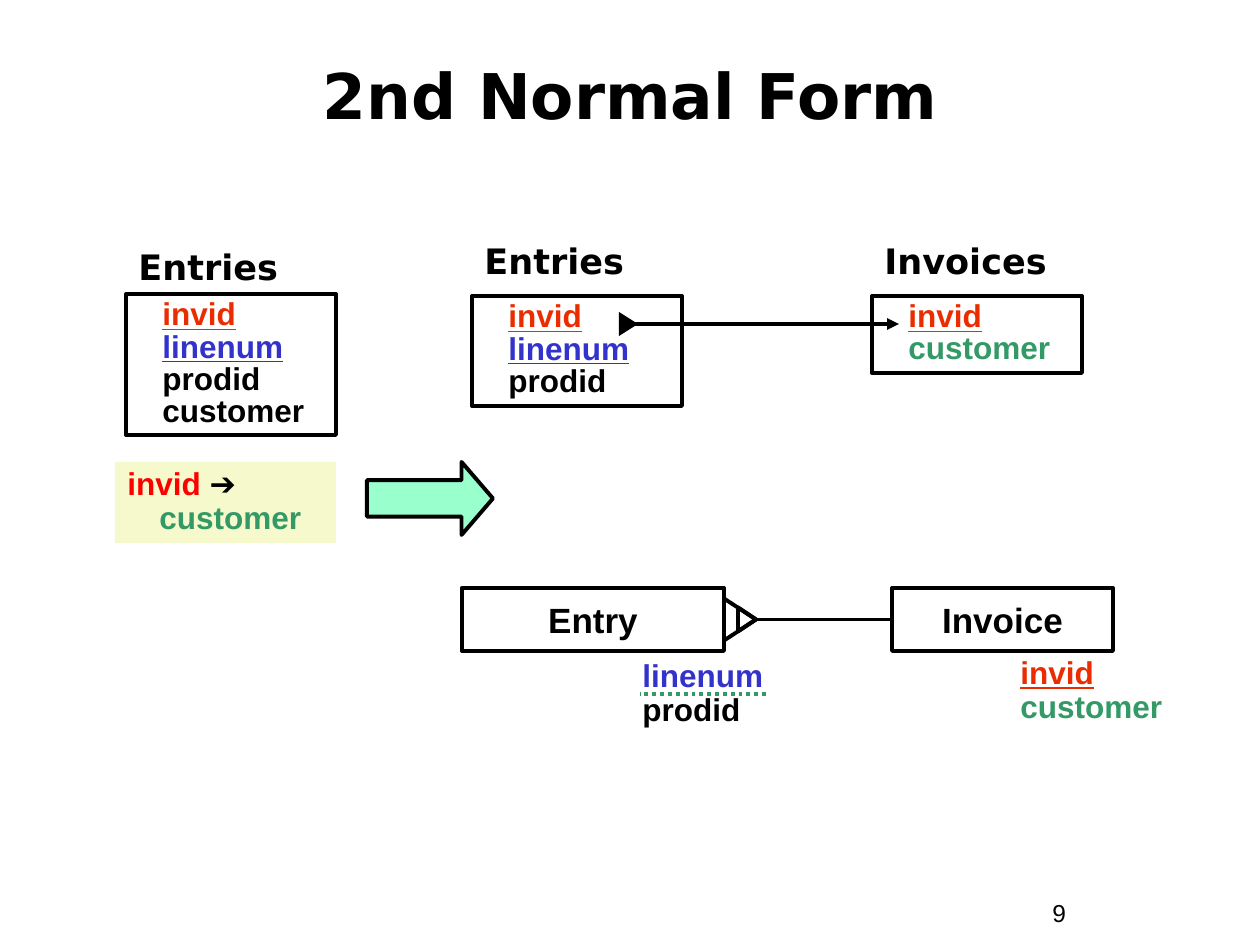
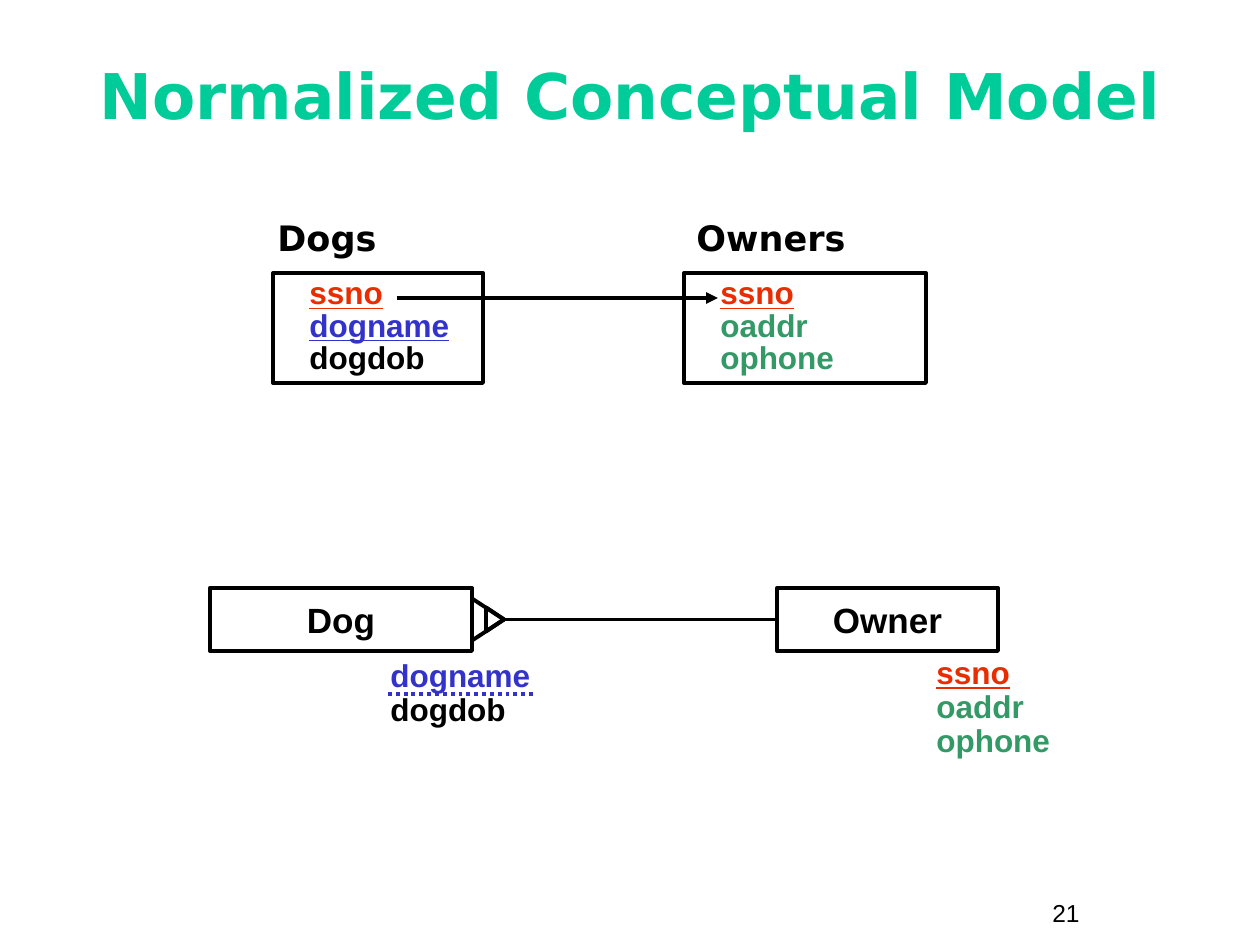
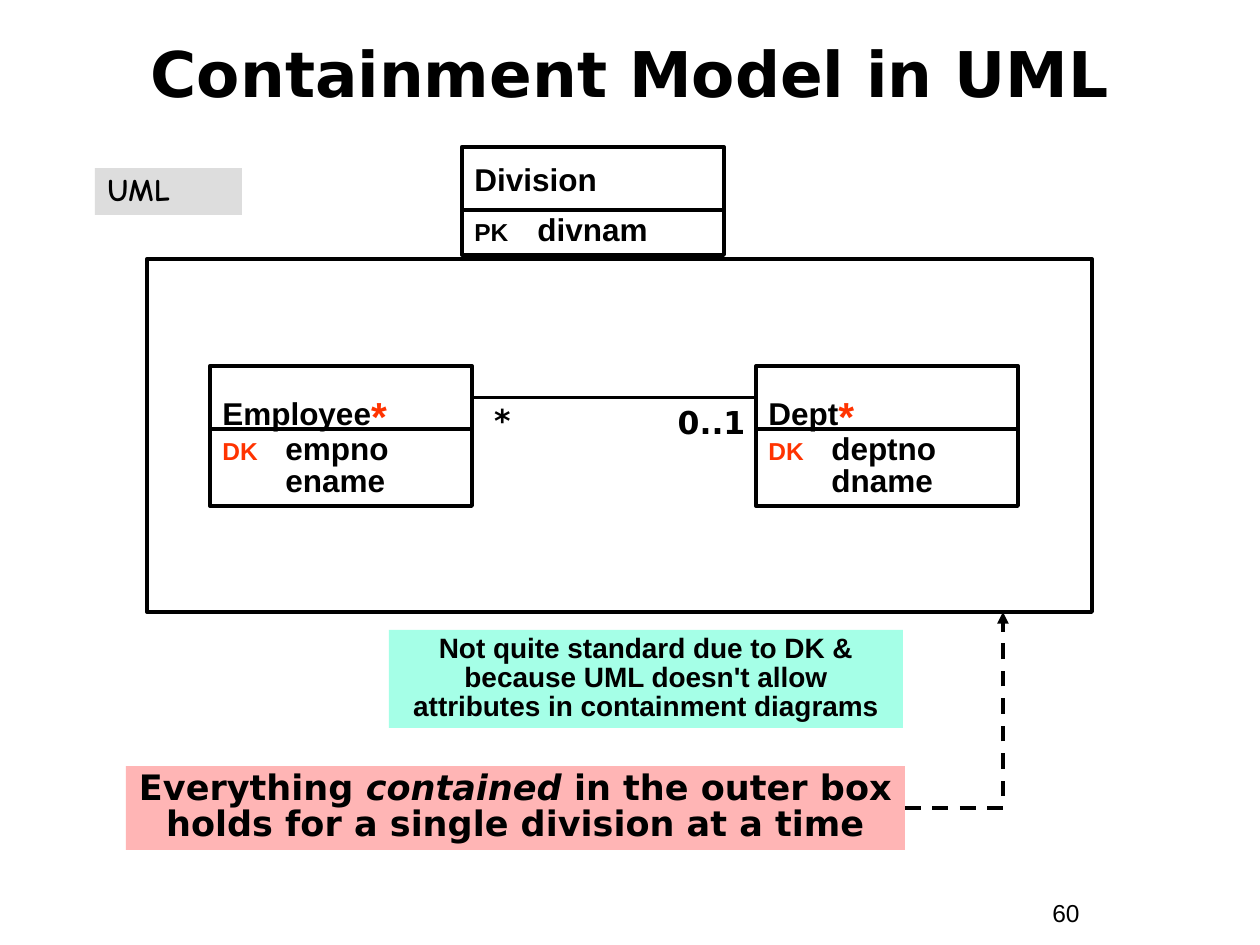
import lxml.etree
import pptx
import pptx.dml.color
import pptx.enum.dml
import pptx.enum.shapes
import pptx.enum.text
import pptx.oxml.ns
import pptx.util

SCALE = 914400 / 126
COLOURS = {
    "ink": "000000", "key": "EA2D00", "partial": "3333CC", "moved": "339966",
    "title green": "00CC99", "rule red": "FF0000", "marker": "FF3300",
    "rule": "F6F9CB", "arrow": "99FFCC", "remark": "A5FFE7",
    "note": "FFB5B5", "tag": "DDDDDD",
}
HEADING_FONT = "DejaVu Sans"
LINE_WIDTH = pptx.util.Pt(2.25)
SHAPES = pptx.enum.shapes.MSO_SHAPE
DASHES = pptx.enum.dml.MSO_LINE
ALIGN = pptx.enum.text.PP_ALIGN
ANCHOR = pptx.enum.text.MSO_ANCHOR


def px(length):
    return pptx.util.Emu(round(length * SCALE))


def rgb(name):
    return pptx.dml.color.RGBColor.from_string(COLOURS[name])


def add_xml(parent, tag, **attributes):
    return lxml.etree.SubElement(parent, pptx.oxml.ns.qn(tag), attributes)


def add_span(para, text, colour="ink", size=18, font="Arial", bold=True,
             underline=False, italic=False, baseline=None):
    span = para.add_run()
    span.text = text
    style = span.font
    style.name, style.size, style.bold = font, pptx.util.Pt(size), bold
    style.color.rgb = rgb(colour)
    if underline:
        style.underline = True
    if italic:
        style.italic = True
    if baseline:
        span.font._element.set("baseline", baseline)


def write(box, paras, align=ALIGN.LEFT, spacing=1.0, before=0, margin=0,
          indent=0, tab=None, anchor=ANCHOR.TOP, **style):
    """Fill a box; each paragraph is a list of (text, span style), None breaks the line."""
    frame = box.text_frame
    frame.word_wrap = True
    frame.auto_size = pptx.enum.text.MSO_AUTO_SIZE.NONE
    frame.vertical_anchor = anchor
    for index, spans in enumerate(paras):
        para = frame.add_paragraph() if index else frame.paragraphs[0]
        para.alignment, para.line_spacing = align, spacing
        para.space_before = pptx.util.Pt(before)
        properties = para._p.get_or_add_pPr()
        properties.set("marL", str(px(margin)))
        properties.set("indent", str(px(indent)))
        if tab:
            stops = add_xml(properties, "a:tabLst")
            add_xml(stops, "a:tab", pos=str(px(tab)), algn="l")
        for span in spans:
            if span is None:
                para.add_line_break()
            else:
                add_span(para, span[0], **{**style, **span[1]})


def add_shape(slide, kind, box, fill=None, outlined=True):
    shape = slide.shapes.add_shape(kind, *map(px, box))
    shape.shadow.inherit = False
    if fill:
        shape.fill.solid()
        shape.fill.fore_color.rgb = rgb(fill)
    else:
        shape.fill.background()
    if outlined:
        shape.line.color.rgb = rgb("ink")
        shape.line.width = LINE_WIDTH
    else:
        shape.line.fill.background()
    return shape


def add_label(slide, box, text, **style):
    label = slide.shapes.add_textbox(*map(px, box))
    write(label, [[(text, {})]], **style)


def add_panel(slide, box, fill, spans, **style):
    panel = add_shape(slide, SHAPES.RECTANGLE, box, fill, outlined=False)
    write(panel, [spans], **style)


def add_line(slide, start, end, colour="ink", dash=None, arrow=False, elbow=False):
    kinds = pptx.enum.shapes.MSO_CONNECTOR
    line = slide.shapes.add_connector(
        kinds.ELBOW if elbow else kinds.STRAIGHT, *map(px, (*start, *end)))
    line.line.color.rgb = rgb(colour)
    line.line.width = LINE_WIDTH
    if dash:
        line.line.dash_style = dash
    properties = line._element.spPr
    if arrow:
        add_xml(properties.find(pptx.oxml.ns.qn("a:ln")), "a:tailEnd", type="triangle")
    if elbow:
        geometry = properties.find(pptx.oxml.ns.qn("a:prstGeom"))
        geometry.set("prst", "bentConnector2")
    add_xml(properties, "a:effectLst")
    return line


def add_pointer(slide, tip, middle, base, length, **look):
    """Triangle that points right."""
    box = (tip - (length + base) / 2, middle - length / 2, base, length)
    add_shape(slide, SHAPES.ISOSCELES_TRIANGLE, box, **look).rotation = 90


def attributes(names, underline_partial=True):
    """One paragraph for each (name, role); keys are underlined."""
    return [[(name, {"colour": role,
                     "underline": role == "key" or role == "partial" and underline_partial})]
            for name, role in names]


def add_schema(slide, name, label_at, box, columns):
    add_label(slide, (*label_at, 210, 55), name, size=20, font=HEADING_FONT)
    table = add_shape(slide, SHAPES.RECTANGLE, box)
    write(table, attributes(columns), spacing=0.85, margin=24)


def add_entity(slide, box, name):
    entity = add_shape(slide, SHAPES.RECTANGLE, box)
    write(entity, [[(name, {})]], align=ALIGN.CENTER, before=12.5,
          anchor=ANCHOR.MIDDLE, size=20)
    return entity


def add_relationship(slide, many, one, dots):
    """Many-to-one diagram; many is (left, name, attributes), one also ends with their left."""
    top, height, many_width = 588, 63, 262
    middle = top + height / 2
    many_left, many_name, many_attributes = many
    one_left, one_name, one_attributes, list_left = one
    add_entity(slide, (many_left, top, many_width, height), many_name)
    target = add_entity(slide, (one_left, top, 221, height), one_name)
    tip = many_left + many_width + 32
    for base, length in ((42, 32), (24, 18)):
        add_pointer(slide, tip, middle, base, length)
    add_line(slide, (tip, middle), (one_left, middle)).end_connect(target, 1)

    for left, below, names in ((many_left + 168, 66, many_attributes),
                               (list_left, 63, one_attributes)):
        box = slide.shapes.add_textbox(*map(px, (left, top + below, 210, 34 * len(names) + 13)))
        write(box, attributes(names, underline_partial=False), spacing=0.9)
    colour, length = dots
    start = many_left + 178
    add_line(slide, (start + length, top + 106), (start, top + 106), colour, DASHES.ROUND_DOT)


def add_class(slide, left, top, height, name, marker, marker_colour, fields, star=False):
    """UML class: a name compartment over a compartment of fields."""
    width, head_height = 262, 63
    head = add_shape(slide, SHAPES.RECTANGLE, (left, top, width, head_height))
    spans = [(name, {})]
    if star:
        spans.append(("*", {"size": 40, "colour": "marker", "baseline": "-8000"}))
    write(head, [spans], before=25 if star else 11.2, anchor=ANCHOR.MIDDLE)
    body = add_shape(slide, SHAPES.RECTANGLE, (left, top + head_height, width, height))
    paras = [[("\t" + field, {})] for field in fields]
    paras[0].insert(0, (marker, {"size": 14, "colour": marker_colour}))
    write(body, paras, spacing=0.85, tab=64)
    return head


def add_slide(deck, title, number, colour="ink", title_top=42):
    slide = deck.slides.add_slide(deck.slide_layouts[5])
    heading = slide.shapes.title
    heading.left, heading.top, heading.width, heading.height = map(
        px, (42, title_top, 1176, 116))
    write(heading, [[(title, {})]], align=ALIGN.CENTER, spacing=0.85,
          anchor=ANCHOR.MIDDLE, size=36, font=HEADING_FONT, colour=colour)
    add_label(slide, (1040, 892, 116, 43), number, before=8.8, size=14, bold=False)
    return slide


def second_normal_form(deck):
    slide = add_slide(deck, "2nd Normal Form", "9")
    entry = [("invid", "key"), ("linenum", "partial"), ("prodid", "ink")]
    invoice = [("invid", "key"), ("customer", "moved")]
    add_relationship(slide, (462, "Entry", entry[1:]), (892, "Invoice", invoice, 1008),
                     ("moved", 126))
    add_schema(slide, "Invoices", (872, 233), (872, 296, 210, 77), invoice)
    add_schema(slide, "Entries", (472, 233), (472, 296, 210, 110), entry)
    add_line(slide, (621, 324), (899, 324), arrow=True)
    add_pointer(slide, 638, 324, 24, 19, fill="ink", outlined=False)
    add_schema(slide, "Entries", (126, 239), (126, 294, 210, 141),
               entry + [("customer", "ink")])
    arrow = add_shape(slide, SHAPES.RIGHT_ARROW, (367, 462, 126, 73), "arrow")
    arrow.adjustments[1] = 0.43
    add_panel(slide, (115, 462, 221, 81), "rule",
              [("invid ", {"colour": "rule red"}), ("➔", {}), None,
               ("customer", {"colour": "moved"})],
              spacing=0.9, before=11.2, margin=32, indent=-32)


def normalized_model(deck):
    slide = add_slide(deck, "Normalized Conceptual Model", "21", "title green")
    dog = [("ssno", "key"), ("dogname", "partial"), ("dogdob", "ink")]
    owner = [("ssno", "key"), ("oaddr", "moved"), ("ophone", "moved")]
    add_schema(slide, "Dogs", (265, 210), (273, 273, 210, 110), dog)
    add_schema(slide, "Owners", (684, 210), (684, 273, 242, 110), owner)
    add_line(slide, (397, 298), (718, 298), arrow=True)
    add_relationship(slide, (210, "Dog", dog[1:]), (777, "Owner", owner, 924),
                     ("partial", 145))


def containment_model(deck):
    slide = add_slide(deck, "Containment Model in UML", "60", title_top=20)
    add_shape(slide, SHAPES.RECTANGLE, (147, 259, 945, 353))
    add_class(slide, 462, 147, 45, "Division", "PK", "ink", ["divnam"])
    employee, dept = [
        add_class(slide, left, 366, 77, name, "DK", "marker", fields, star=True)
        for left, name, fields in ((210, "Employee", ["empno", "ename"]),
                                   (756, "Dept", ["deptno", "dname"]))]
    link = add_line(slide, (472, 398), (756, 398))
    link.begin_connect(employee, 3)
    link.end_connect(dept, 1)
    for box, count, spacing in (((471, 399, 63, 47), "*", 0.9),
                                ((659, 397, 105, 50), "0..1", 1.0)):
        add_label(slide, box, count, align=ALIGN.CENTER, spacing=spacing,
                  before=11.2, font=HEADING_FONT)

    add_panel(slide, (389, 630, 514, 98), "remark",
              [("Not quite standard due to DK & because UML doesn't allow "
                "attributes in containment diagrams", {})],
              align=ALIGN.CENTER, spacing=0.85, before=10, size=16)
    add_panel(slide, (126, 766, 779, 84), "note",
              [("Everything ", {}), ("contained", {"italic": True}),
               (" in the outer box holds for a single division at a time", {})],
              align=ALIGN.CENTER, spacing=0.85, before=12.5, size=20, font=HEADING_FONT)
    add_line(slide, (905, 808), (1003, 612), dash=DASHES.DASH, arrow=True, elbow=True)
    add_panel(slide, (95, 168, 147, 47), "tag", [("UML", {})],
              spacing=0.9, before=2.2, font="Comic Neue")


def main():
    deck = pptx.Presentation()
    deck.slide_width, deck.slide_height = px(1260), px(945)
    second_normal_form(deck)
    normalized_model(deck)
    containment_model(deck)
    deck.save("out.pptx")


if __name__ == "__main__":
    main()
